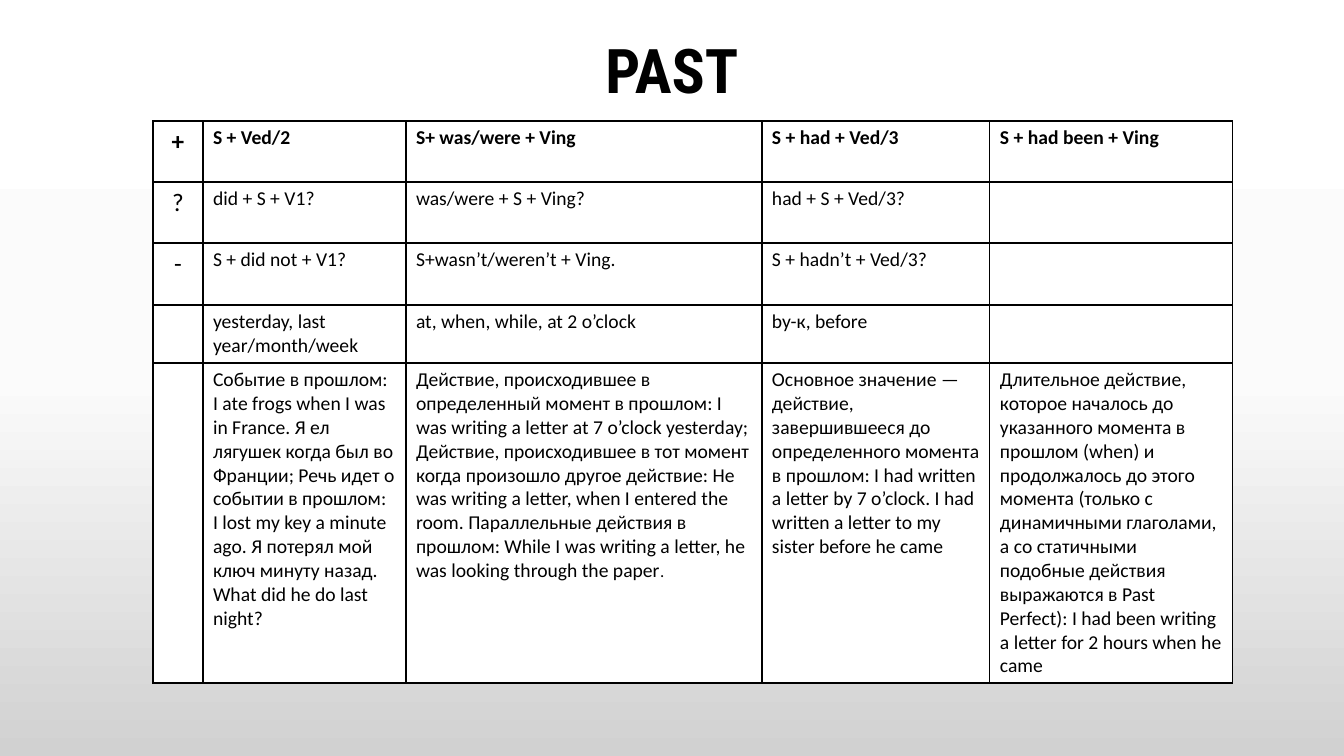
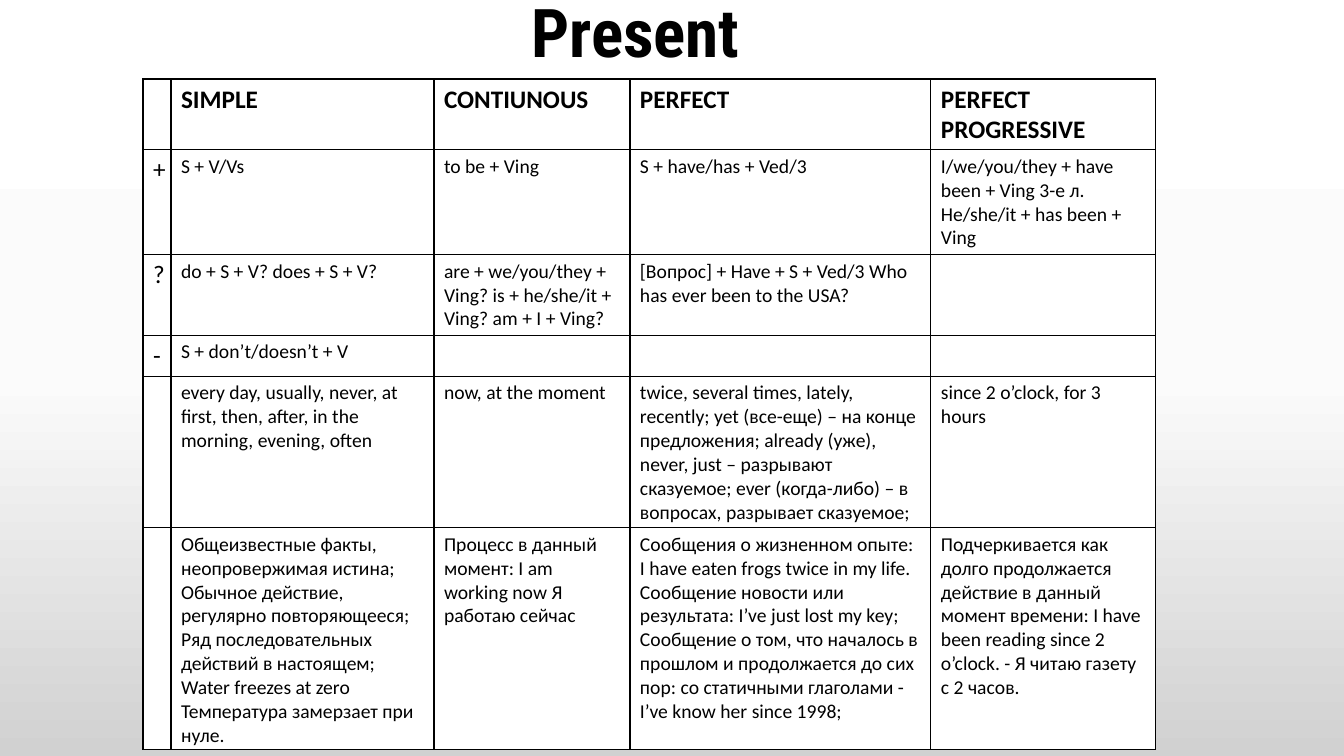
from dataclasses import dataclass

from lxml.etree import SubElement
from pptx import Presentation
from pptx.dml.color import RGBColor
from pptx.enum.text import PP_ALIGN as Align
from pptx.oxml.ns import qn
from pptx.util import Emu, Pt

PX_PER_INCH = 100.8
COLORS = {
    "text": "000000",
    "border": "000000",
    "cell": "FFFFFF",
    "sky": "FFFFFF",
    "haze": "FBFBFB",
    "ground": "D1D1D1",
}
BACKDROP = [(0, "sky"), (50, "haze"), (100, "ground")]
TITLE_FONT, BODY_FONT = "Roboto Condensed", "Calibri"
LARGE, BODY, SMALL = 18, 14, 12


@dataclass(frozen=True)
class Title:
    text: str
    left: int
    top: int
    width: int
    height: int
    size: int
    spacing: float


@dataclass(frozen=True)
class TenseTable:
    left: int
    top: int
    columns: list[int]
    heights: list[int]
    header_size: int
    rows: list[list[str]]


@dataclass(frozen=True)
class TenseSlide:
    title: Title
    table: TenseTable


PAST = TenseSlide(
    Title("PAST", 92, 40, 1160, 147, 44, 0.9),
    TenseTable(
        153, 121, [50, 203, 356, 228, 243], [61, 61, 62, 58, 320], BODY,
        [
            ["+", "S + Ved/2", "S+ was/were + Ving", "S + had + Ved/3", "S + had been + Ving"],
            ["?", "did + S + V1?", "was/were + S + Ving?", "had + S + Ved/3?", ""],
            ["-", "S + did not + V1?", "S+wasn’t/weren’t + Ving.", "S + hadn’t + Ved/3?", ""],
            ["", "yesterday, last year/month/week", "at, when, while, at 2 o’clock",
             "by-к, before", ""],
            [
                "",
                "Событие в прошлом: I ate frogs when I was in France. Я ел лягушек когда был "
                "во Франции; Речь идет о событии в прошлом: I lost my key a minute ago. "
                "Я потерял мой ключ минуту назад. What did he do last night?",
                "Действие, происходившее в определенный момент в прошлом: I was writing a "
                "letter at 7 o’clock yesterday; Действие, происходившее в тот момент когда "
                "произошло другое действие: He was writing a letter, when I entered the room. "
                "Параллельные действия в прошлом: While I was writing a letter, he was "
                "looking through the paper",
                "Основное значение — действие, завершившееся до определенного момента в "
                "прошлом: I had written a letter by 7 o’clock. I had written a letter to my "
                "sister before he came",
                "Длительное действие, которое началось до указанного момента в прошлом (when) "
                "и продолжалось до этого момента (только с динамичными глаголами, а со "
                "статичными подобные действия выражаются в Past Perfect): I had been writing "
                "a letter for 2 hours when he came",
            ],
        ],
    ),
)

PRESENT = TenseSlide(
    Title("Present", 337, -10, 597, 92, 48, 1.0),
    TenseTable(
        143, 79, [28, 263, 196, 301, 225], [70, 105, 80, 41, 151, 222], LARGE,
        [
            ["", "SIMPLE", "CONTIUNOUS", "PERFECT", "PERFECT PROGRESSIVE"],
            ["+", "S + V/Vs", "to be + Ving", "S + have/has + Ved/3",
             "I/we/you/they + have been + Ving 3-е л. He/she/it + has been + Ving"],
            ["?", "do + S + V? does + S + V?",
             "are + we/you/they + Ving? is + he/she/it + Ving? am + I + Ving?",
             "[Вопрос] + Have + S + Ved/3 Who has ever been to the USA?", ""],
            ["-", "S + don’t/doesn’t + V", "", "", ""],
            [
                "",
                "every day, usually, never, at first, then, after, in the morning, evening, often",
                "now, at the moment",
                "twice, several times, lately, recently; yet (все-еще) – на конце предложения; "
                "already (уже), never, just – разрывают сказуемое; ever (когда-либо) – в "
                "вопросах, разрывает сказуемое;",
                "since 2 o’clock, for 3 hours",
            ],
            [
                "",
                "Общеизвестные факты, неопровержимая истина; Обычное действие, регулярно "
                "повторяющееся; Ряд последовательных действий в настоящем; Water freezes at "
                "zero Температура замерзает при нуле.",
                "Процесс в данный момент: I am working now Я работаю сейчас",
                "Сообщения о жизненном опыте: I have eaten frogs twice in my life. Сообщение "
                "новости или результата: I’ve just lost my key; Сообщение о том, что началось "
                "в прошлом и продолжается до сих пор: со статичными глаголами - I’ve know her "
                "since 1998;",
                "Подчеркивается как долго продолжается действие в данный момент времени: "
                "I have been reading since 2 o’clock. - Я читаю газету с 2 часов.",
            ],
        ],
    ),
)


def px(length: int) -> Emu:
    return Emu(round(length * 914400 / PX_PER_INCH))


def add_color(parent, name: str) -> None:
    SubElement(parent, qn("a:srgbClr"), val=COLORS[name])


def paint_backdrop(master) -> None:
    fill = master.background.fill
    fill.gradient()
    fill.gradient_angle = 270
    stops = next(master.element.iter(qn("a:gsLst")))
    for stop in list(stops):
        stops.remove(stop)
    for percent, name in BACKDROP:
        add_color(SubElement(stops, qn("a:gs"), pos=str(percent * 1000)), name)


def format_run(run, font: str, size: int, bold: bool = False) -> None:
    run.font.name = font
    run.font.size = Pt(size)
    run.font.bold = bold
    run.font.color.rgb = RGBColor.from_string(COLORS["text"])


def draw_title(slide, title: Title) -> None:
    place = map(px, (title.left, title.top, title.width, title.height))
    frame = slide.shapes.add_textbox(*place).text_frame
    frame.word_wrap = True
    frame.margin_top = 0
    frame.text = title.text
    heading = frame.paragraphs[0]
    heading.alignment = Align.CENTER
    heading.line_spacing = title.spacing
    format_run(heading.runs[0], TITLE_FONT, title.size, True)


def outline_cell(cell) -> None:
    properties = cell._tc.get_or_add_tcPr()
    for side in ("lnL", "lnR", "lnT", "lnB"):
        line = SubElement(properties, qn(f"a:{side}"), w=str(Pt(1)))
        add_color(SubElement(line, qn("a:solidFill")), "border")


def draw_table(slide, spec: TenseTable):
    table = slide.shapes.add_table(
        len(spec.heights), len(spec.columns), px(spec.left), px(spec.top),
        px(sum(spec.columns)), px(sum(spec.heights)),
    ).table
    table.first_row = table.horz_banding = False
    for column, width in zip(table.columns, spec.columns):
        column.width = px(width)
    for r, (texts, height) in enumerate(zip(spec.rows, spec.heights)):
        table.rows[r].height = px(height)
        for c, text in enumerate(texts):
            cell = table.cell(r, c)
            outline_cell(cell)
            cell.fill.solid()
            cell.fill.fore_color.rgb = RGBColor.from_string(COLORS["cell"])
            if not text:
                continue
            cell.text_frame.text = text
            paragraph = cell.text_frame.paragraphs[0]
            size = spec.header_size if r == 0 else BODY
            if c == 0:
                size = LARGE
                paragraph.alignment = Align.CENTER
            format_run(paragraph.runs[0], BODY_FONT, size, r == 0)
    return table


def draw_tense(deck, tense: TenseSlide):
    slide = deck.slides.add_slide(deck.slide_layouts[6])
    draw_title(slide, tense.title)
    return draw_table(slide, tense.table)


def main() -> None:
    deck = Presentation()
    deck.slide_width, deck.slide_height = px(1344), px(756)
    paint_backdrop(deck.slide_master)
    past_table = draw_tense(deck, PAST)
    full_stop = past_table.cell(4, 2).text_frame.paragraphs[0].add_run()
    full_stop.text = "."
    format_run(full_stop, BODY_FONT, SMALL)
    draw_tense(deck, PRESENT)
    deck.save("out.pptx")


if __name__ == "__main__":
    main()
